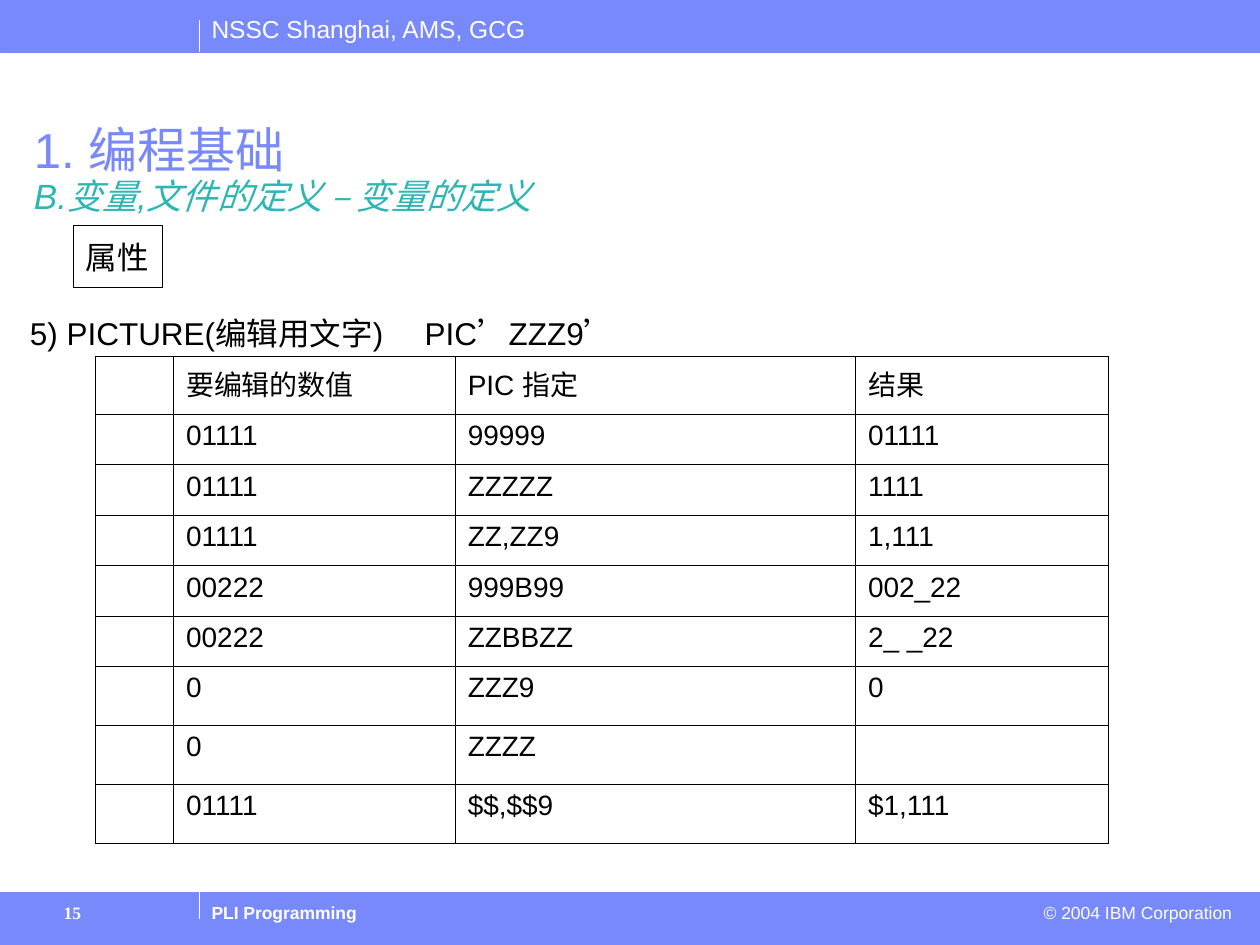
"""Build the slide on PICTURE editing characters in PL/I."""
from dataclasses import dataclass

from lxml import etree
from pptx import Presentation
from pptx import util as u
from pptx.dml.color import RGBColor
from pptx.enum import shapes, text
from pptx.oxml import ns

Pt = u.Pt


@dataclass(frozen=True)
class Theme:
    band: str = "7889FB"
    accent: str = "2DB6B3"
    ink: str = "000000"
    paper: str = "FFFFFF"
    font: str = "Arial"
    number_font: str = "Times New Roman"
    title: int = 28
    subtitle: int = 20
    body: int = 18
    cell: int = 16
    header: int = 14
    footer: int = 10
    hairline: float = 0.75
    grid: float = 0.45


class Deck:
    def __init__(self, theme):
        self.t = theme
        self.prs = Presentation()
        self.prs.slide_width, self.prs.slide_height = Pt(720), Pt(540)
        self.s = self.prs.slides.add_slide(self.prs.slide_layouts[5])

    def run(self, p, content, size, color, font=None, bold=False, italic=False):
        r = p.add_run()
        r.text = content
        f = r.font
        f.name, f.size, f.bold, f.italic = font or self.t.font, Pt(size), bold, italic
        f.color.rgb = RGBColor.from_string(color)

    def frame(self, tf, wrap=True, anchor=text.MSO_ANCHOR.TOP):
        tf.margin_left = tf.margin_right = Pt(7.2)
        tf.margin_top = tf.margin_bottom = Pt(3.6)
        tf.word_wrap, tf.vertical_anchor = wrap, anchor
        return tf.paragraphs[0]

    def title(self, box, heading, subheading):
        sp = self.s.shapes.title
        sp.left, sp.top, sp.width, sp.height = map(Pt, box)
        p = self.frame(sp.text_frame)
        sp.text_frame.auto_size = text.MSO_AUTO_SIZE.NONE
        p.alignment, p.line_spacing = text.PP_ALIGN.LEFT, 0.9
        self.run(p, heading, self.t.title, self.t.band)
        p.add_line_break()
        self.run(p, subheading, self.t.subtitle, self.t.accent, italic=True)

    def rect(self, box, fill=None, line=None, width=0.25):
        sp = self.s.shapes.add_shape(shapes.MSO_SHAPE.RECTANGLE, *map(Pt, box))
        sp.shadow.inherit = False
        if fill:
            sp.fill.solid()
            sp.fill.fore_color.rgb = RGBColor.from_string(fill)
        else:
            sp.fill.background()
        sp.line.color.rgb = RGBColor.from_string(line or fill)
        sp.line.width = Pt(width)
        return sp

    def label(self, box, content):
        sp = self.rect(box, line=self.t.ink, width=self.t.hairline)
        p = self.frame(sp.text_frame, False, text.MSO_ANCHOR.MIDDLE)
        p.alignment = text.PP_ALIGN.LEFT
        self.run(p, content, self.t.body, self.t.ink)

    def text(self, box, content, size, color, align=text.PP_ALIGN.LEFT, tab=None, **style):
        tf = self.s.shapes.add_textbox(*map(Pt, box)).text_frame
        p = self.frame(tf)
        p.alignment = align
        if tab:
            tabs = etree.SubElement(p._p.get_or_add_pPr(), ns.qn("a:tabLst"))
            etree.SubElement(tabs, ns.qn("a:tab"), pos=str(Pt(tab)), algn="l")
        self.run(p, content, size, color, **style)

    def rule(self, x, top, bottom):
        ln = self.s.shapes.add_connector(
            shapes.MSO_CONNECTOR.STRAIGHT, Pt(x), Pt(top), Pt(x), Pt(bottom))
        ln.line.color.rgb = RGBColor.from_string(self.t.paper)
        ln.line.width = Pt(self.t.hairline)
        etree.SubElement(ln._element.spPr, ns.qn("a:effectLst"))

    def borders(self, cell):
        tc_pr = cell._tc.get_or_add_tcPr()
        for side in ("lnL", "lnR", "lnT", "lnB"):
            ln = etree.SubElement(tc_pr, ns.qn(f"a:{side}"), w=str(Pt(self.t.grid)))
            fill = etree.SubElement(ln, ns.qn("a:solidFill"))
            etree.SubElement(fill, ns.qn("a:srgbClr"), val=self.t.ink)

    def table(self, left, top, widths, heights, rows):
        size = len(rows), len(widths)
        tbl = self.s.shapes.add_table(
            *size, Pt(left), Pt(top), Pt(sum(widths)), Pt(sum(heights))).table
        tbl.first_row = tbl.horz_banding = False
        for col, width in zip(tbl.columns, widths):
            col.width = Pt(width)
        for row, height, values in zip(tbl.rows, heights, rows):
            row.height = Pt(height)
            for cell, value in zip(row.cells, values):
                self.borders(cell)
                cell.fill.background()
                p = cell.text_frame.paragraphs[0]
                p.font.size = Pt(self.t.cell)
                if value:
                    self.run(p, value, self.t.cell, self.t.ink)


def main():
    t = Theme()
    d = Deck(t)
    for top in (510, 0):
        d.rect((0, top, 720, 30), fill=t.band)
    d.text((113.8, 4.3, 230, 24.5), "NSSC Shanghai, AMS, GCG", t.header, t.paper)
    d.text((113.8, 512, 468, 19.4), "PLI Programming", t.footer, t.paper, bold=True)
    d.text((448, 512, 263, 19.4), "© 2004 IBM Corporation", t.footer, t.paper,
           align=text.PP_ALIGN.RIGHT)
    d.rule(114, 11.5, 30)
    d.rule(114, 510, 525)
    d.title((12.2, 68.4, 649.4, 39.6), "1. 编程基础", "B.变量,文件的定义 – 变量的定义")
    d.text((10, 175.7, 391, 28.8), "5) PICTURE(编辑用文字)\tPIC’ZZZ9’", t.body, t.ink,
           tab=225.6)
    d.label((42, 128.9, 51, 35.3), "属性")
    rows = [
        ("要编辑的数值", "PIC 指定", "结果"),
        ("01111", "99999", "01111"),
        ("01111", "ZZZZZ", "1111"),
        ("01111", "ZZ,ZZ9", "1,111"),
        ("00222", "999B99", "002_22"),
        ("00222", "ZZBBZZ", "2_ _22"),
        ("0", "ZZZ9", "0"),
        ("0", "ZZZZ", ""),
        ("01111", "$$,$$9", "$1,111"),
    ]
    d.table(54.6, 203.7, (44.6, 161, 228.7, 144.6), [33.1] + [28.8] * 5 + [33.75] * 3,
            [("", *row) for row in rows])
    d.text((29.3, 512, 62, 25), "15", t.footer, t.paper, font=t.number_font, bold=True)
    d.prs.save("out.pptx")


if __name__ == "__main__":
    main()
